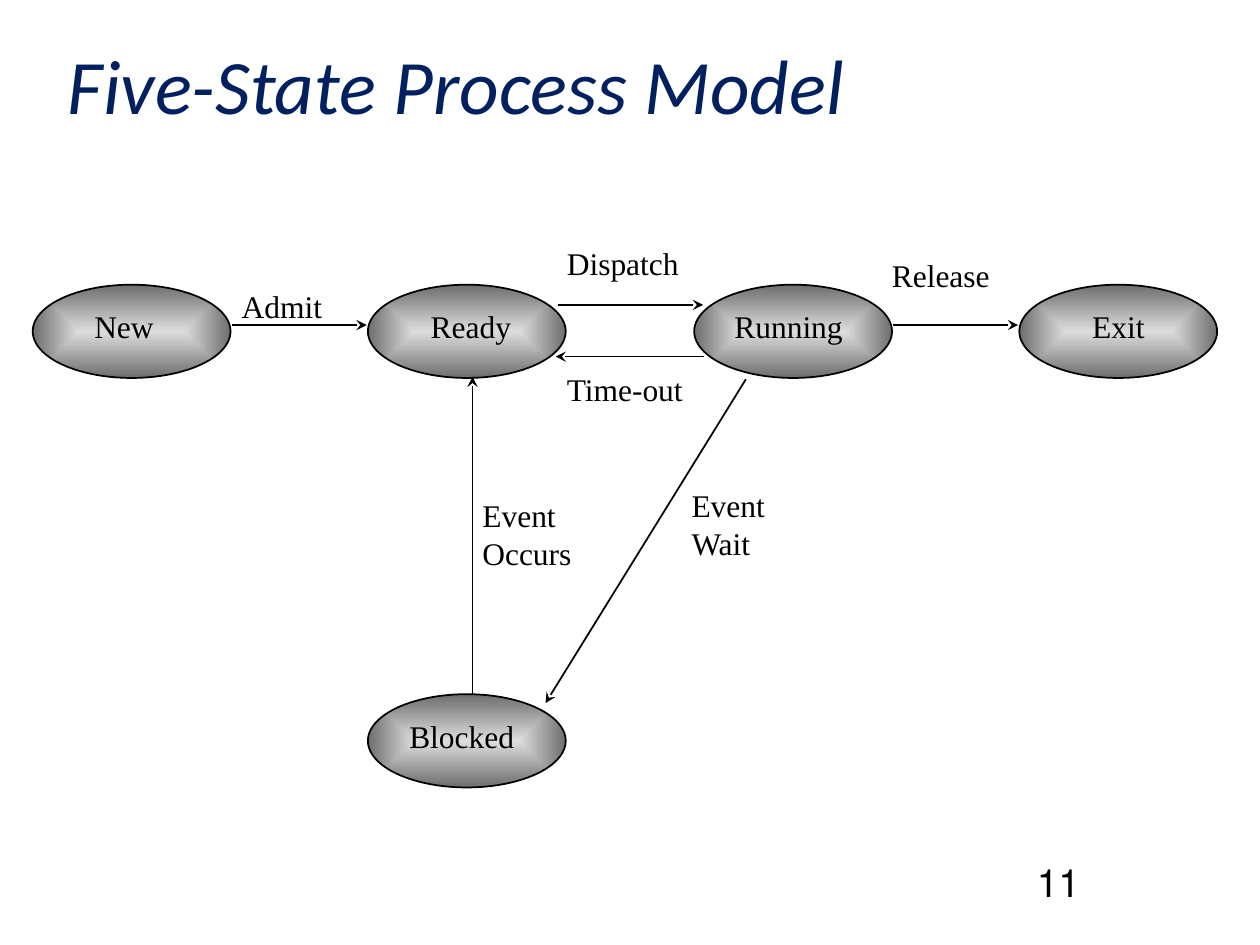
from dataclasses import dataclass

from pptx import Presentation
from pptx.dml.color import RGBColor
from pptx.enum.shapes import MSO_CONNECTOR, MSO_SHAPE
from pptx.enum.text import MSO_ANCHOR, MSO_AUTO_SIZE, PP_ALIGN
from pptx.oxml.ns import qn
from pptx.util import Inches, Pt
from lxml.etree import SubElement


@dataclass(frozen=True)
class Theme:
    title_color: RGBColor = RGBColor(0x00, 0x20, 0x60)
    ink: RGBColor = RGBColor(0x00, 0x00, 0x00)
    state_center: RGBColor = RGBColor(0xDD, 0xDD, 0xDD)
    state_edge: RGBColor = RGBColor(0x6E, 0x6E, 0x6E)
    title_font: str = "Calibri"
    body_font: str = "Times New Roman"
    title_size: float = 44
    label_size: float = 18
    number_size: float = 22.2
    line_width: float = 1


THEME = Theme()

TITLE = ("Five-State Process Model", (0.44, 0.25, 8.5, 0.83))
PAGE_NUMBER = ("11", (7.36, 6.81, 2.08, 0.5))

STATE_SIZE = (1.57, 0.74)
STATES = [
    ("New", (0.26, 2.26), (0.65, 2.39, 0.67, 0.4)),
    ("Running", (5.51, 2.26), (5.73, 2.39, 1.06, 0.4)),
    ("Exit", (8.09, 2.26), (8.57, 2.39, 0.65, 0.4)),
    ("Ready", (2.92, 2.26), (3.32, 2.39, 0.84, 0.4)),
    ("Blocked", (2.92, 5.51), (3.15, 5.64, 1.03, 0.4)),
]

TRANSITIONS = [
    ("Admit", (1.84, 2.58), (2.91, 2.58), (1.82, 2.23, 0.84, 0.4)),
    ("Event\nOccurs", (3.75, 5.51), (3.75, 2.99), (3.73, 3.89, 0.91, 0.7)),
    ("Release", (7.09, 2.58), (8.08, 2.58), (6.98, 1.98, 0.98, 0.4)),
    ("Dispatch", (4.43, 2.42), (5.58, 2.42), (4.4, 1.89, 1.09, 0.4)),
    ("Time-out", (5.59, 2.83), (4.41, 2.83), (4.4, 2.89, 1.13, 0.4)),
    ("Event\nWait", (5.92, 3.01), (4.33, 5.58), (5.39, 3.81, 0.78, 0.7)),
]


def inches(values):
    return [Inches(value) for value in values]


def add_text(page, text, place, font, size, color, wrap=True):
    box = page.shapes.add_textbox(*inches(place))
    frame = box.text_frame
    frame.text = text
    frame.word_wrap = wrap
    frame.auto_size = MSO_AUTO_SIZE.NONE if wrap else MSO_AUTO_SIZE.SHAPE_TO_FIT_TEXT
    for para in frame.paragraphs:
        for span in para.runs:
            span.font.name = font
            span.font.size = Pt(size)
            span.font.color.rgb = color
    return frame


def add_label(page, text, place):
    add_text(page, text, place, THEME.body_font, THEME.label_size, THEME.ink, wrap=False)


def add_state(page, corner):
    state = page.shapes.add_shape(MSO_SHAPE.OVAL, *inches(corner + STATE_SIZE))
    state.shadow.inherit = False
    state.line.color.rgb = THEME.ink
    state.line.width = Pt(THEME.line_width)
    state.fill.gradient()
    colors = (THEME.state_center, THEME.state_edge)
    for stop, position, color in zip(state.fill.gradient_stops, (0, 1), colors):
        stop.position = position
        stop.color.rgb = color
    gradient = state._element.spPr.find(qn("a:gradFill"))
    gradient.remove(gradient.find(qn("a:lin")))
    shade = SubElement(gradient, qn("a:path"), path="rect")
    SubElement(shade, qn("a:fillToRect"), l="50000", t="50000", r="50000", b="50000")


def add_arrow(page, start, end):
    arrow = page.shapes.add_connector(MSO_CONNECTOR.STRAIGHT, *inches(start + end))
    arrow.line.color.rgb = THEME.ink
    arrow.line.width = Pt(THEME.line_width)
    SubElement(arrow.line._get_or_add_ln(), qn("a:tailEnd"), type="stealth")
    SubElement(arrow._element.spPr, qn("a:effectLst"))


def add_title(page):
    text, place = TITLE
    frame = add_text(page, text, place, THEME.title_font, THEME.title_size, THEME.title_color)
    frame.vertical_anchor = MSO_ANCHOR.MIDDLE
    frame.paragraphs[0].runs[0].font.italic = True


def add_page_number(page):
    text, place = PAGE_NUMBER
    frame = add_text(page, text, place, THEME.body_font, THEME.number_size, THEME.ink)
    para = frame.paragraphs[0]
    para.alignment = PP_ALIGN.CENTER
    para.line_spacing = 0.9
    para._p.get_or_add_pPr().set("rtl", "1")


def main():
    deck = Presentation()
    deck.slide_width, deck.slide_height = Inches(10), Inches(7.5)
    page = deck.slides.add_slide(deck.slide_layouts[6])
    add_page_number(page)
    add_title(page)
    for name, corner, place in STATES:
        add_state(page, corner)
        add_label(page, name, place)
    for name, start, end, place in TRANSITIONS:
        add_arrow(page, start, end)
        add_label(page, name, place)
    deck.save("out.pptx")


if __name__ == "__main__":
    main()
